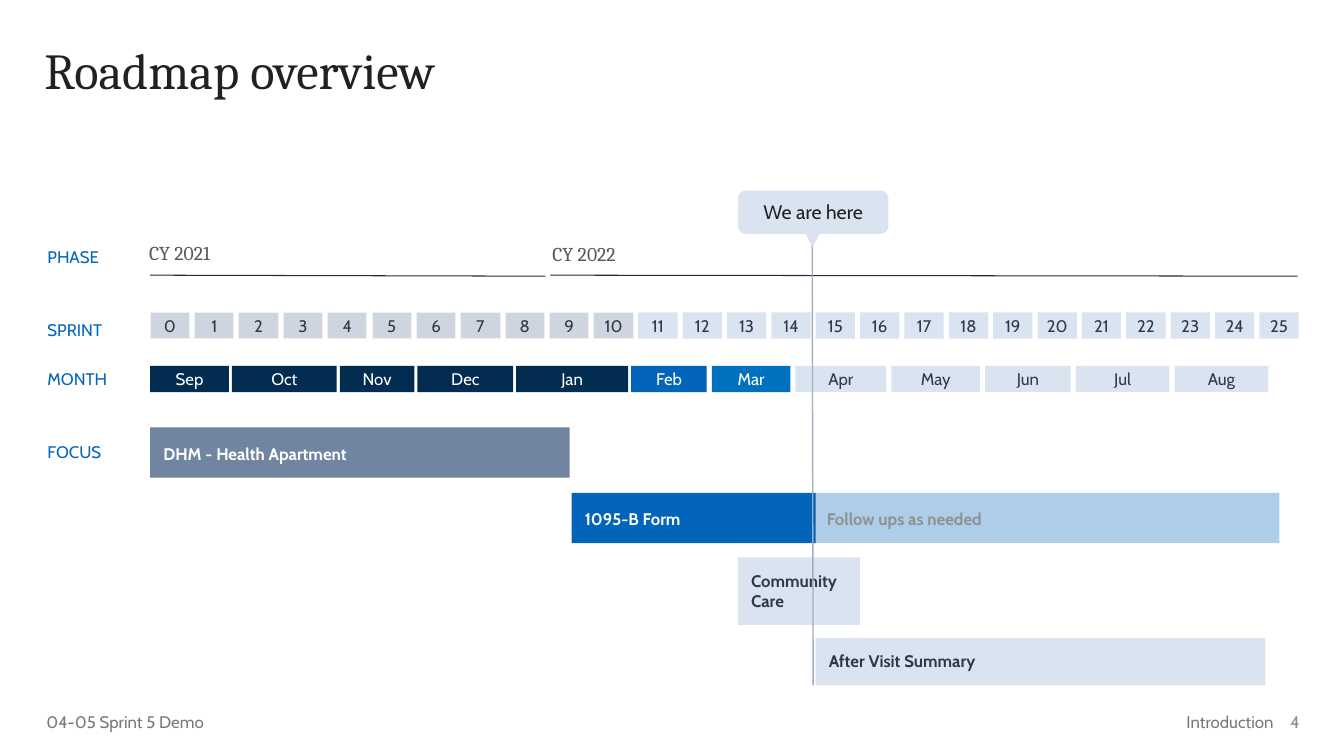
import pptx
import pptx.dml.color
import pptx.enum.shapes
import pptx.enum.text
import pptx.oxml
import pptx.oxml.ns
import pptx.util
from lxml import etree

SHAPE = pptx.enum.shapes.MSO_SHAPE
ALIGN = pptx.enum.text.PP_ALIGN
ANCHOR = pptx.enum.text.MSO_ANCHOR
inches = pptx.util.Inches

SANS, SERIF = "Cabin", "Cambria"
NAVY, BLUE, BRIGHT, PALE, GREY = "022D50", "0365B9", "0071BF", "DAE4F0", "CED5E0"
WHITE, SLATE, BLACK, FOOTER = "FDFFFD", "303A46", "202120", "747C74"

LABEL_LEFT, TIMELINE_LEFT = 0.47, 1.49
SPRINT_COUNT, PAST_SPRINTS, SPRINT_PITCH, SPRINT_GAP = 26, 11, 0.44, 0.05
CELL_HEIGHT, CELL_INSET, BAR_INSET = 0.26, 0.03, 0.13

ROW_LABELS = [("PHASE", 2.45), ("SPRINT", 3.17), ("MONTH", 3.66), ("FOCUS", 4.38)]
PHASES = [("CY 2021", 1.38, 2.34, 1.49, 5.41), ("CY 2022", 5.38, 2.35, 5.46, 12.87)]
MONTHS = [
    ("Sep", 0.78, NAVY), ("Oct", 1.04, NAVY), ("Nov", 0.74, NAVY),
    ("Dec", 0.95, NAVY), ("Jan", 1.11, NAVY), ("Feb", 0.75, BLUE),
    ("Mar", 0.78, BRIGHT), ("Apr", 0.9, PALE), ("May", 0.88, PALE),
    ("Jun", 0.85, PALE), ("Jul", 0.93, PALE), ("Aug", 0.93, PALE),
]
BARS_BEHIND_MARKER = [
    ("DHM - Health Apartment", (1.49, 4.24, 4.16, 0.5), "7185A0", "FFFFFF", 1.15, 100),
    ("1095-B Form", (5.67, 4.89, 2.42, 0.5), BLUE, WHITE, 1.15, 100),
    ("Community Care", (7.32, 5.53, 1.21, 0.67), PALE, SLATE, 1, 100),
]
BARS_AFTER_MARKER = [
    ("After Visit Summary", (8.09, 6.33, 4.46, 0.47), PALE, SLATE, 1, 100),
    ("Follow ups as needed", (8.07, 4.89, 4.62, 0.5), BLUE, "8E918E", 1.15, 32),
]


def color(value):
    return pptx.dml.color.RGBColor.from_string(value)


def write(holder, text, ink, size=12, font=SANS, align=ALIGN.LEFT, bold=False,
          insets=(0, 0, 0, 0), anchor=ANCHOR.TOP, spacing=1):
    frame = holder.text_frame
    frame.word_wrap = True
    frame.auto_size = pptx.enum.text.MSO_AUTO_SIZE.NONE
    frame.vertical_anchor = anchor
    (frame.margin_left, frame.margin_top,
     frame.margin_right, frame.margin_bottom) = map(inches, insets)
    para = frame.paragraphs[0]
    para.text = text
    para.alignment = align
    para.line_spacing = spacing
    para.font.name = font
    para.font.size = pptx.util.Pt(size)
    para.font.bold = bold
    para.font.color.rgb = color(ink)


def add_text(shapes, box, text, ink, **style):
    write(shapes.add_textbox(*map(inches, box)), text, ink, **style)


def add_block(shapes, box, fill, kind=SHAPE.RECTANGLE, outline=None, opacity=100):
    block = shapes.add_shape(kind, *map(inches, box))
    block.shadow.inherit = False
    block.fill.solid()
    block.fill.fore_color.rgb = color(fill)
    if opacity < 100:
        tint = block.fill._xPr.find(".//" + pptx.oxml.ns.qn("a:srgbClr"))
        etree.SubElement(tint, pptx.oxml.ns.qn("a:alpha"), val=str(opacity * 1000))
    if outline:
        block.line.color.rgb = color(outline)
        block.line.width = pptx.util.Pt(0.75)
    else:
        block.line.fill.background()
    return block


def add_line(shapes, start, end, ink, width):
    line = shapes.add_connector(pptx.enum.shapes.MSO_CONNECTOR.STRAIGHT,
                                *map(inches, start + end))
    line.line.color.rgb = color(ink)
    line.line.width = pptx.util.Pt(width)
    etree.SubElement(line._element.spPr, pptx.oxml.ns.qn("a:effectLst"))


def add_cell(shapes, box, text, fill, ink, outline=None):
    write(add_block(shapes, box, fill, outline=outline), text, ink,
          align=ALIGN.CENTER, insets=(CELL_INSET,) * 4)


def add_title(page, box, text):
    title = page.shapes.title
    title.left, title.top, title.width, title.height = map(inches, box)
    write(title, text, BLACK, size=36, font=SERIF,
          insets=(0.1, 0.05, 0.1, 0.05), spacing=0.9)


def add_footer(shapes, top):
    add_text(shapes, (0.46, top, 2.98, 0.3), "04-05 Sprint 5 Demo", FOOTER,
             insets=(0, 0.05, 0.1, 0.05))
    add_text(shapes, (9.75, top, 2.98, 0.3), "Introduction", FOOTER,
             align=ALIGN.RIGHT, insets=(0.1, 0.05, 0.1, 0.05))
    add_text(shapes, (12.55, top - 0.05, 0.44, 0.4), "4", "8A8A8A",
             align=ALIGN.RIGHT, anchor=ANCHOR.MIDDLE, insets=(0.1, 0.05, 0.1, 0.05))


def add_row_labels(shapes, left):
    for label, top in ROW_LABELS:
        add_text(shapes, (left, top, 0.78, 0.2), label, "0467B8")


def add_phases(shapes, rule_top):
    for label, left, top, start, end in PHASES:
        add_line(shapes, (start, rule_top), (end, rule_top + 0.01), "232B34", 0.75)
        add_text(shapes, (left, top, 3, 0.34), label, "565956", size=14, font=SERIF,
                 insets=(0.1, 0.05, 0.1, 0.05))


def add_sprints(shapes, left, top):
    for sprint in range(SPRINT_COUNT):
        past = sprint < PAST_SPRINTS
        box = (left + sprint * SPRINT_PITCH, top, SPRINT_PITCH - SPRINT_GAP, CELL_HEIGHT)
        add_cell(shapes, box, str(sprint), GREY if past else PALE, SLATE,
                 "F0F1F0" if past else None)


def add_months(shapes, left, top):
    for month, width, fill in MONTHS:
        ink = SLATE if fill == PALE else WHITE
        add_cell(shapes, (left, top, width, CELL_HEIGHT), month, fill, ink)
        left += width + (0.03 if fill == NAVY else 0.05)


def add_focus_bars(shapes, bars):
    for text, box, fill, ink, spacing, opacity in bars:
        write(add_block(shapes, box, fill, opacity=opacity), text, ink,
              bold=True, insets=(BAR_INSET,) * 4, spacing=spacing)


def add_today_marker(shapes, box):
    left, top, width, height = box
    middle = left + width / 2
    marker = shapes.add_group_shape().shapes
    add_line(marker, (middle - 0.01, top + 0.24), (middle, top + 4.91), "A1AEBF", 1)
    bubble = add_block(marker, box, PALE, SHAPE.ROUNDED_RECTANGLE)
    write(bubble, "We are here", BLACK, size=14, align=ALIGN.CENTER,
          anchor=ANCHOR.MIDDLE, insets=(0.1, 0.05, 0.1, 0.05))
    pointer = add_block(marker, (middle - 0.08, top + height - 0.01, 0.15, 0.14),
                        PALE, SHAPE.ISOSCELES_TRIANGLE)
    pointer.rotation = 180


def add_roadmap_page(deck):
    page = deck.slides.add_slide(deck.slide_layouts[5])
    shapes = page.shapes
    add_title(page, (0.34, 0.41, 12.42, 0.82), "Roadmap overview")
    add_footer(shapes, 7.01)
    add_row_labels(shapes, LABEL_LEFT)
    add_phases(shapes, 2.73)
    add_sprints(shapes, TIMELINE_LEFT, 3.1)
    add_months(shapes, TIMELINE_LEFT, 3.63)
    add_focus_bars(shapes, BARS_BEHIND_MARKER)
    add_today_marker(shapes, (7.32, 1.89, 1.49, 0.43))
    add_focus_bars(shapes, BARS_AFTER_MARKER)


def main():
    deck = pptx.Presentation()
    deck.slide_width, deck.slide_height = inches(13.33), inches(7.5)
    add_roadmap_page(deck)
    deck.save("out.pptx")


if __name__ == "__main__":
    main()
